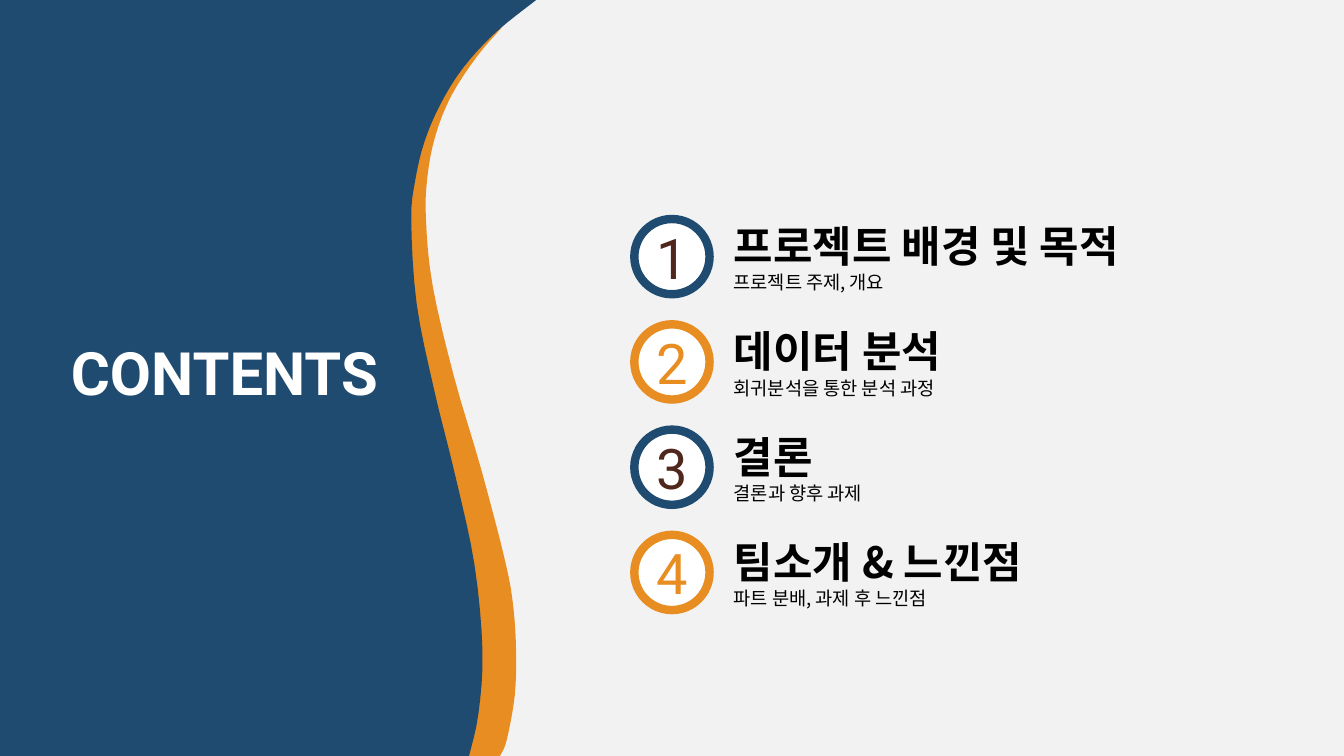
"""Build a contents slide with a curved side panel and four numbered entries."""
from lxml import etree
from pptx import Presentation
from pptx import util as u
from pptx.dml.color import RGBColor
from pptx.enum import shapes, text
from pptx.oxml.ns import qn

W = 10
H = W * 9 / 16
NAVY, ORANGE, BROWN, WHITE, BLACK = "1F4B70", "E88D22", "4F271C", "FFFFFF", "000000"
KOREAN, LATIN = "Noto Sans CJK KR", "Roboto"


def paint(target, color):
    target.solid()
    target.fore_color.rgb = RGBColor.from_string(color)


def write(p, words, color, align=text.PP_ALIGN.LEFT, **fmt):
    p.alignment = align
    r = p.add_run()
    r.text = words
    for name, value in fmt.items():
        setattr(r.font, name, value)
    paint(r.font.fill, color)
    etree.SubElement(r.font._element, qn("a:ea"), typeface=fmt["name"])


prs = Presentation()
prs.slide_width, prs.slide_height = u.Inches(W), u.Inches(H)
s = prs.slides.add_slide(prs.slide_layouts[5])
paint(s.background.fill, "F2F2F2")

row_top, row_pitch, cell = 1.63, 2.35 / 3, 0.56
entries = [
    ("프로젝트 배경 및 목적", "프로젝트 주제, 개요", 3.37),
    ("데이터 분석", "회귀분석을 통한 분석 과정", 3.16),
    ("결론", "결론과 향후 과제", 3.71),
    ("팀소개 & 느낀점", "파트 분배, 과제 후 느낀점", 3.04),
]
frame = dict(margin_left=0, margin_top=0, margin_right=0, margin_bottom=0,
             vertical_anchor=text.MSO_ANCHOR.MIDDLE, word_wrap=True)

for i, (heading, detail, width) in enumerate(entries):
    ring, ink = [(NAVY, BROWN), (ORANGE, ORANGE)][i % 2]
    top = u.Inches(row_top + i * row_pitch)
    badge = s.shapes.add_shape(shapes.MSO_SHAPE.OVAL, u.Inches(4.72), top,
                               u.Inches(cell), u.Inches(cell))
    badge.shadow.inherit = False
    paint(badge.fill, WHITE)
    paint(badge.line.fill, ring)
    badge.line.width = u.Pt(4.5)
    box = s.shapes.add_textbox(u.Inches(5.46), top, u.Inches(width), u.Inches(cell))
    for sp in (badge, box):
        for name, value in frame.items():
            setattr(sp.text_frame, name, value)
    write(badge.text_frame.paragraphs[0], str(i + 1), ink, text.PP_ALIGN.CENTER,
          name=LATIN, size=u.Pt(30))
    tf = box.text_frame
    write(tf.paragraphs[0], heading, BLACK, name=KOREAN, size=u.Pt(23), bold=True)
    write(tf.add_paragraph(), detail, BLACK, name=KOREAN, size=u.Pt(10), bold=False)

panels = [
    (ORANGE, (0.04, 0.21),
     [(3.12, H), (3.24, 4.89), (3.09, 3.96), (2.81, 3.01), (2.61, 1.94), (2.73, 1.23),
      (2.97, 0.82), (3.36, 0.45), (3.72, 0.21)],
     [(3.73, 0.21), (3.55, 0.42), (3.36, 0.71), (3.24, 1.01), (3.18, 1.32), (3.17, 1.64),
      (3.22, 2.13), (3.38, 2.81), (3.58, 3.49), (3.76, 4.18), (3.82, 4.52), (3.84, 4.85),
      (3.83, 5.18), (3.77, 5.51), (3.72, H)]),
    (NAVY, (0, 0), [(0, H)],
     [(3.99, 0), (3.69, 0.24), (3.45, 0.5), (3.28, 0.77), (3.16, 1.05), (3.09, 1.34),
      (3.06, 1.64), (3.1, 2.26), (3.23, 2.9), (3.39, 3.55), (3.53, 4.2), (3.59, 4.84),
      (3.56, 5.31), (3.49, H)]),
]
steps = 4
for color, start, rest, knots in panels:
    ends = [knots[0], *knots, knots[-1]]
    edge = [knots[0]]
    for a, b, c, d in zip(ends, ends[1:], ends[2:], ends[3:]):
        for t in (n / steps for n in range(1, steps + 1)):
            edge.append([(2 * q + (r - p) * t + (2 * p - 5 * q + 4 * r - v) * t ** 2
                          + (3 * q - p - 3 * r + v) * t ** 3) / 2
                         for p, q, r, v in zip(a, b, c, d)])
    outline = s.shapes.build_freeform(u.Inches(start[0]), u.Inches(start[1]))
    outline.add_line_segments([(u.Inches(x), u.Inches(y)) for x, y in edge + rest])
    sp = outline.convert_to_shape()
    sp.shadow.inherit = False
    paint(sp.fill, color)
    sp.line.fill.background()

title = s.shapes.title
s.shapes._spTree.append(title._element)
place = dict(left=0.43, top=2.5, width=2.48, height=0.54)
for name, value in place.items():
    setattr(title, name, u.Inches(value))
tf = title.text_frame
title_frame = {**frame, "vertical_anchor": text.MSO_ANCHOR.TOP,
               "auto_size": text.MSO_AUTO_SIZE.SHAPE_TO_FIT_TEXT}
for name, value in title_frame.items():
    setattr(tf, name, value)
write(tf.paragraphs[0], "CONTENTS", WHITE, text.PP_ALIGN.CENTER,
      name=LATIN, size=u.Pt(32), bold=True)

prs.save("out.pptx")
